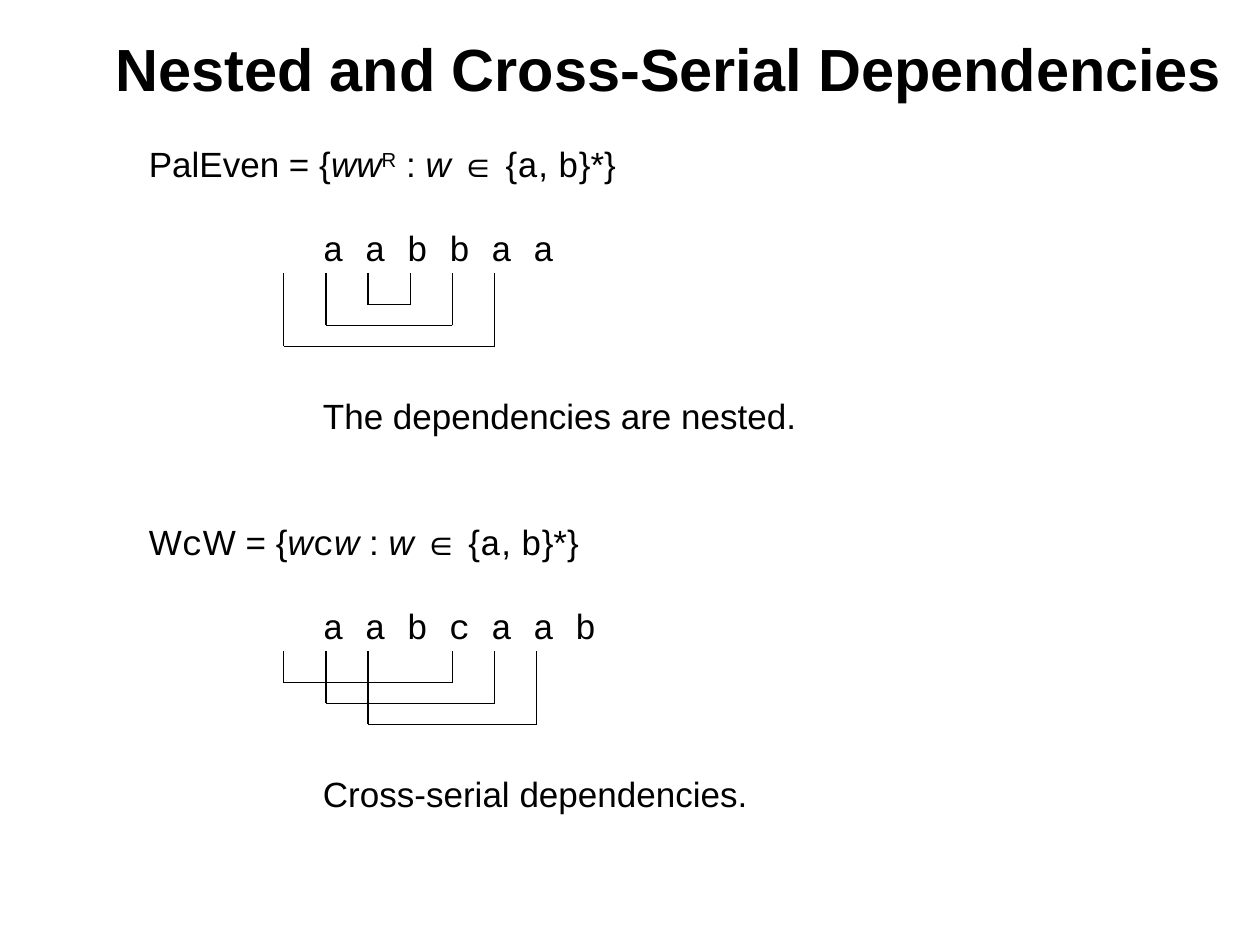
from dataclasses import dataclass

from lxml.etree import SubElement
from pptx import Presentation
from pptx.dml.color import RGBColor
from pptx.enum.shapes import MSO_CONNECTOR
from pptx.enum.text import MSO_ANCHOR, PP_ALIGN
from pptx.oxml.ns import qn
from pptx.util import Cm, Pt


@dataclass(frozen=True)
class Theme:
    ink: RGBColor = RGBColor(0, 0, 0)
    text_font: str = "Arial"
    code_font: str = "Courier New"
    title_size: Pt = Pt(34)
    body_size: Pt = Pt(20)
    line_height: Pt = Pt(24)
    line_width: Pt = Pt(0.75)


THEME = Theme()
EXAMPLE_INDENT = Cm(3.51)
SYMBOL_PITCH = Cm(0.85)
FIRST_DEPTH = Cm(0.64)
DEPTH_STEP = Cm(0.42)

ITALIC = {"italic": True}
CODE = {"font_name": THEME.code_font}
ALPHABET = [("∈ {", {}), ("a", CODE), (", ", {}), ("b", CODE), ("}*}", {})]
PALINDROME_LANGUAGE = [
    ("PalEven = {", {}), ("ww", ITALIC), ("R", {"baseline": 30000}),
    (" : ", {}), ("w ", ITALIC), *ALPHABET,
]
COPY_LANGUAGE = [
    ("W", {}), ("c", CODE), ("W = {", {}), ("w", ITALIC), ("c", CODE),
    ("w", ITALIC), (" : ", {}), ("w ", ITALIC), *ALPHABET,
]

# Each paragraph: runs, left indent, empty lines above it
BODY = [
    (PALINDROME_LANGUAGE, 0, 0),
    ([("a a b b a a", CODE)], EXAMPLE_INDENT, 1),
    ([("The dependencies are nested.", {})], EXAMPLE_INDENT, 3),
    (COPY_LANGUAGE, 0, 2),
    ([("a a b c a a b", CODE)], EXAMPLE_INDENT, 1),
    ([("Cross-serial dependencies.", {})], EXAMPLE_INDENT, 3),
]

# Pairs of dependent symbols, from the shallowest bracket to the deepest
NESTED_PAIRS = [(2, 3), (1, 4), (0, 5)]
CROSS_SERIAL_PAIRS = [(0, 4), (1, 5), (2, 6)]


def add_run(paragraph, text, size=THEME.body_size, font_name=THEME.text_font,
            bold=False, italic=False, baseline=None):
    run = paragraph.add_run()
    run.text = text
    font = run.font
    font.size, font.name, font.bold, font.italic = size, font_name, bold, italic
    font.color.rgb = THEME.ink
    if baseline is not None:
        run._r.get_or_add_rPr().set("baseline", str(baseline))


def add_text_frame(slide, left, top, width, height):
    frame = slide.shapes.add_textbox(left, top, width, height).text_frame
    frame.word_wrap = True
    return frame


def add_title(slide, left, top, width, height):
    frame = add_text_frame(slide, left, top, width, height)
    frame.vertical_anchor = MSO_ANCHOR.MIDDLE
    frame.margin_right = Cm(0.59)
    paragraph = frame.paragraphs[0]
    paragraph.alignment = PP_ALIGN.CENTER
    add_run(paragraph, "Nested and Cross-Serial Dependencies",
            size=THEME.title_size, bold=True)


def add_body(slide, left, top, width, height):
    frame = add_text_frame(slide, left, top, width, height)
    for index, (runs, indent, lines_above) in enumerate(BODY):
        paragraph = frame.add_paragraph() if index else frame.paragraphs[0]
        paragraph.line_spacing = THEME.line_height
        paragraph.space_before = lines_above * THEME.line_height
        paragraph._p.get_or_add_pPr().set("marL", str(indent))
        for text, text_format in runs:
            add_run(paragraph, text, **text_format)


def add_line(slide, start, end):
    line = slide.shapes.add_connector(MSO_CONNECTOR.STRAIGHT, *start, *end)
    line.line.color.rgb = THEME.ink
    line.line.width = THEME.line_width
    SubElement(line._element.spPr, qn("a:effectLst"))


def add_brackets(slide, left, top, pairs):
    """Join each pair of symbol positions with a bracket hanging from top."""
    for level, (first, second) in enumerate(pairs):
        start = left + first * SYMBOL_PITCH
        end = left + second * SYMBOL_PITCH
        bottom = top + FIRST_DEPTH + level * DEPTH_STEP
        corners = [(start, top), (start, bottom), (end, bottom), (end, top)]
        for corner, next_corner in zip(corners, corners[1:]):
            add_line(slide, corner, next_corner)


def main():
    presentation = Presentation()
    presentation.slide_width = Cm(25.4)
    presentation.slide_height = Cm(19.05)
    slide = presentation.slides.add_slide(presentation.slide_layouts[6])
    add_title(slide, Cm(1.9), Cm(0.21), Cm(23.5), Cm(2.33))
    add_body(slide, Cm(2.75), Cm(2.75), Cm(22.44), Cm(13.82))
    add_brackets(slide, Cm(5.72), Cm(5.5), NESTED_PAIRS)
    add_brackets(slide, Cm(5.72), Cm(13.12), CROSS_SERIAL_PAIRS)
    presentation.save("out.pptx")


if __name__ == "__main__":
    main()
